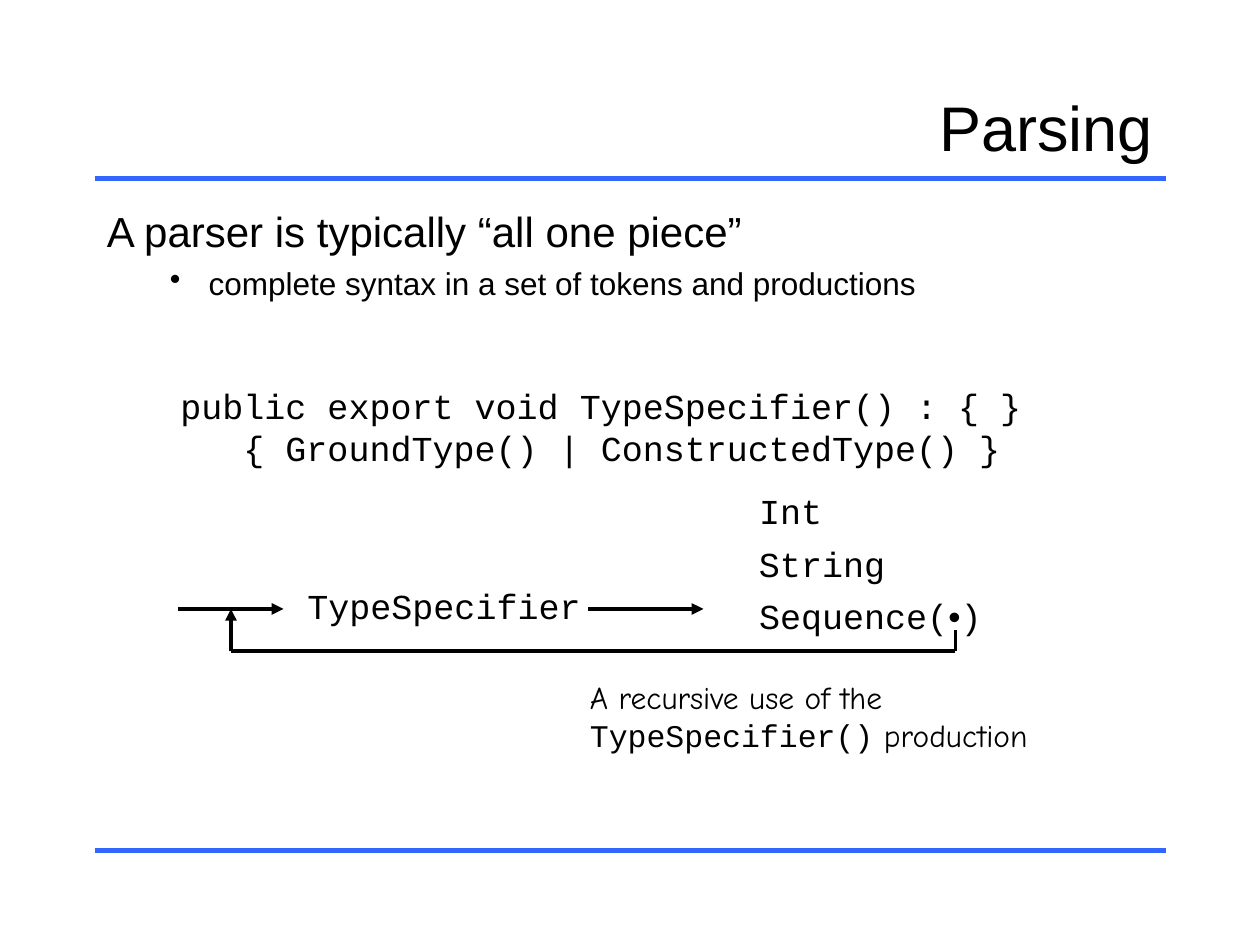
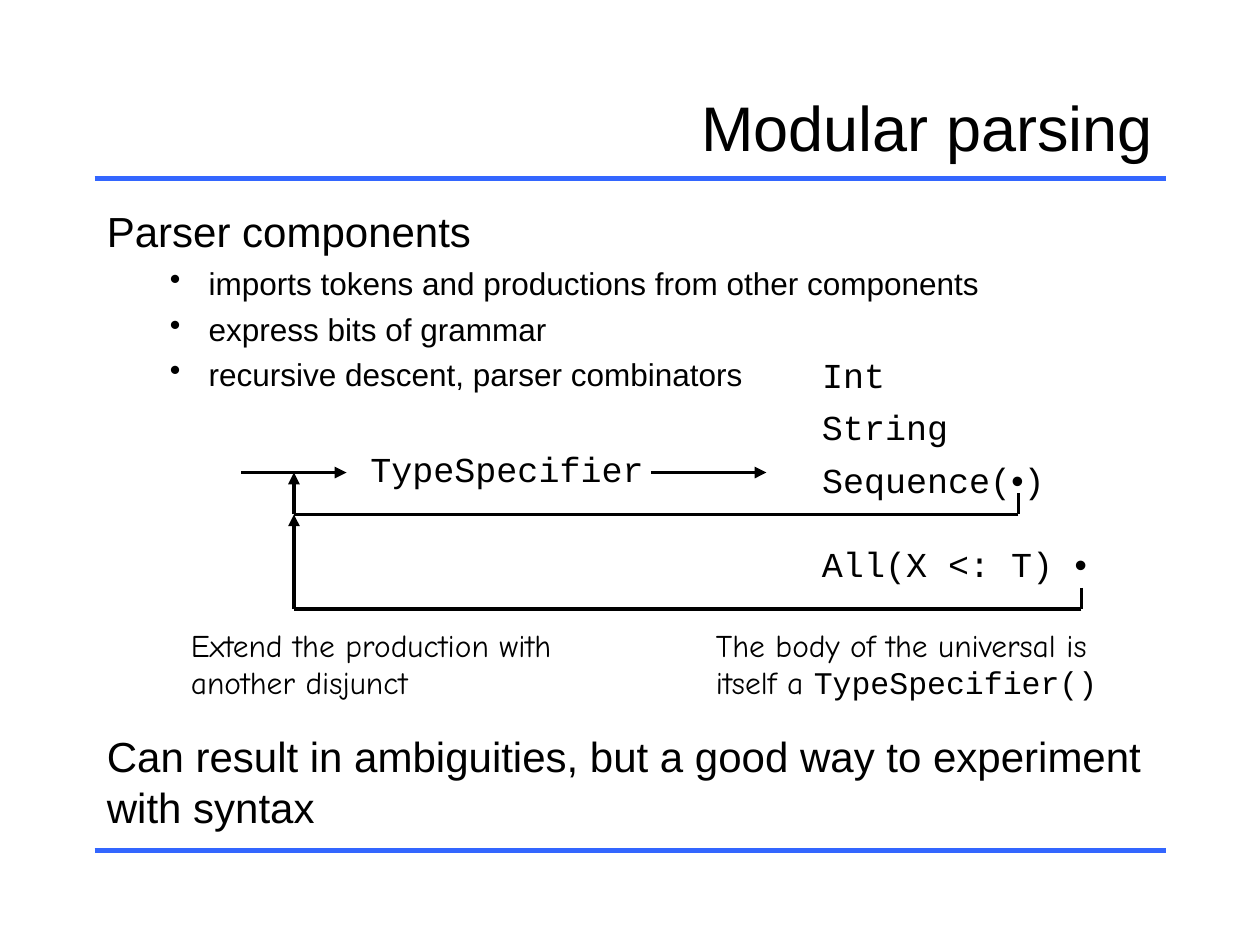
import itertools

import pptx
import pptx.dml.color
import pptx.enum.shapes
import pptx.enum.text
import pptx.oxml
import pptx.oxml.ns
import pptx.util

PX = 7620  # EMU per px, 120 px to the inch
WIDTH, HEIGHT = 1200, 900
COLORS = {"text": "000000", "rule": "3366FF", "page": "FFFFFF"}
SANS, MONO, HAND = "Arial", "Courier New", "Comic Neue"
# The margins leave 2 px spare, so that a label never wraps.
LABEL_HEIGHT, LABEL_MARGINS, MONO_CHAR, DOT_WIDTH = 53, 26, 20, 12

ALIGN = pptx.enum.text.PP_ALIGN
ANCHOR = pptx.enum.text.MSO_ANCHOR

SEQUENCE = [("Sequence(", MONO), ("•", SANS), (")", MONO)]
UNIVERSAL = [("All(X <: T) ", MONO), ("•", SANS)]

# Boxes are (left, top, width, height); loops run from a dot back to an entry.
SLIDES = [
    {
        "title": "Parsing",
        "outline": [
            ((90, 190, 1020, 290), "A parser is typically “all one piece”",
             ["complete syntax in a set of tokens and productions"]),
        ],
        "code": ((160, 360, 907, 92),
                 "public export void TypeSpecifier() : { }\n"
                 "   { GroundType() | ConstructedType() }"),
        "grammar_at": (170, 580),
        "notes": [
            ((550, 640, 480, 84), [("A recursive use of the ", HAND),
                                   ("TypeSpecifier()", MONO),
                                   (" production", HAND)]),
        ],
    },
    {
        "title": "Modular parsing",
        "outline": [
            ((90, 190, 1020, 200), "Parser components",
             ["imports tokens and productions from other components",
              "express bits of grammar",
              "recursive descent, parser combinators"]),
            ((90, 690, 1020, 110),
             "Can result in ambiguities, but a good way to experiment with syntax", []),
        ],
        "grammar_at": (230, 450),
        "extended": True,
        "notes": [
            ((670, 590, 420, 84), [("The body of the universal is itself a ", HAND),
                                   ("TypeSpecifier()", MONO)]),
            ((170, 590, 370, 84),
             [("Extend the production with another disjunct", HAND)]),
        ],
    },
]


def px(value):
    return pptx.util.Emu(value * PX)


def rgb(name):
    return pptx.dml.color.RGBColor.from_string(COLORS[name])


def add_text(slide, box, anchor=ANCHOR.TOP, wrap=True):
    frame = slide.shapes.add_textbox(*map(px, box)).text_frame
    frame.word_wrap = wrap
    frame.vertical_anchor = anchor
    return frame


def fill_paragraph(paragraph, runs, size, align=ALIGN.LEFT):
    """Write (text, font) runs, turning newlines into line breaks."""
    paragraph.alignment = align
    for text, font in runs:
        for number, line in enumerate(text.split("\n")):
            if number:
                paragraph.add_line_break()
            run = paragraph.add_run()
            run.text = line
            run.font.name = font
            run.font.size = pptx.util.Pt(size)
            run.font.color.rgb = rgb("text")


def add_line(slide, start, end, color="text", width=2.25, arrow=False):
    line = slide.shapes.add_connector(
        pptx.enum.shapes.MSO_CONNECTOR.STRAIGHT, *map(px, start + end))
    line.line.color.rgb = rgb(color)
    line.line.width = pptx.util.Pt(width)
    if arrow:
        head = pptx.oxml.parse_xml(
            f'<a:tailEnd {pptx.oxml.ns.nsdecls("a")} type="triangle"/>')
        line.line._get_or_add_ln().append(head)
    line._element.spPr.append(
        pptx.oxml.parse_xml(f'<a:effectLst {pptx.oxml.ns.nsdecls("a")}/>'))


def add_frame(slide, title):
    """Page colour, the two rules and the title shared by all slides."""
    slide.background.fill.solid()
    slide.background.fill.fore_color.rgb = rgb("page")
    for y in (170, 810):
        add_line(slide, (90, y), (1110, y), "rule", 3)
    frame = add_text(slide, (90, 80, 1020, 80), ANCHOR.MIDDLE)
    fill_paragraph(frame.paragraphs[0], [(title, SANS)], 36, ALIGN.RIGHT)


def add_outline(slide, box, heading, bullets):
    frame = add_text(slide, box)
    fill_paragraph(frame.paragraphs[0], [(heading, SANS)], 24)
    for bullet in bullets:
        paragraph = frame.add_paragraph()
        paragraph.level = 1
        paragraph.space_before = pptx.util.Pt(4.5)
        fill_paragraph(paragraph, [(bullet, SANS)], 18)
        properties = paragraph._p.get_or_add_pPr()
        properties.set("marL", str(px(97)))
        properties.set("indent", str(px(-37)))
        properties.append(pptx.oxml.parse_xml(
            f'<a:buChar {pptx.oxml.ns.nsdecls("a")} char="•"/>'))


def add_label(slide, left, top, runs):
    """One line of grammar, in a box as wide as its characters need."""
    width = LABEL_MARGINS + sum(
        len(text) * (MONO_CHAR if font == MONO else DOT_WIDTH) for text, font in runs)
    frame = add_text(slide, (left, top, width, LABEL_HEIGHT), ANCHOR.MIDDLE, False)
    fill_paragraph(frame.paragraphs[0], runs, 20, ALIGN.CENTER)


def add_loop(slide, dot, entry):
    """Go from below a dot down, left and up into the entry point."""
    floor = dot[1] + 20
    corners = [dot, (dot[0], floor), (entry[0], floor), entry]
    for start, end in itertools.pairwise(corners):
        add_line(slide, start, end, arrow=end == entry)


def add_grammar(slide, x, y, extended):
    """Diagram whose entry arrow starts at x, y."""
    alternatives = x + 540
    add_label(slide, alternatives, y - 20, SEQUENCE)
    add_loop(slide, (x + 740, y + 20), (x + 50, y))
    if extended:
        add_label(slide, alternatives, y + 60, UNIVERSAL)
        add_loop(slide, (x + 800, y + 110), (x + 50, y + 40))
    add_label(slide, alternatives, y - 120, [("Int", MONO)])
    add_label(slide, alternatives, y - 70, [("String", MONO)])
    add_label(slide, x + 110, y - 30, [("TypeSpecifier", MONO)])
    for start, end in ((0, 100), (390, 500)):
        add_line(slide, (x + start, y), (x + end, y), arrow=True)


def main():
    deck = pptx.Presentation()
    deck.slide_width, deck.slide_height = px(WIDTH), px(HEIGHT)
    for content in SLIDES:
        slide = deck.slides.add_slide(deck.slide_layouts[6])
        add_frame(slide, content["title"])
        if "code" in content:
            box, code = content["code"]
            frame = add_text(slide, box, ANCHOR.MIDDLE)
            fill_paragraph(frame.paragraphs[0], [(code, MONO)], 20)
        add_grammar(slide, *content["grammar_at"], content.get("extended", False))
        for section in content["outline"]:
            add_outline(slide, *section)
        for box, runs in content["notes"]:
            fill_paragraph(add_text(slide, box).paragraphs[0], runs, 18)
    deck.save("out.pptx")


if __name__ == "__main__":
    main()
